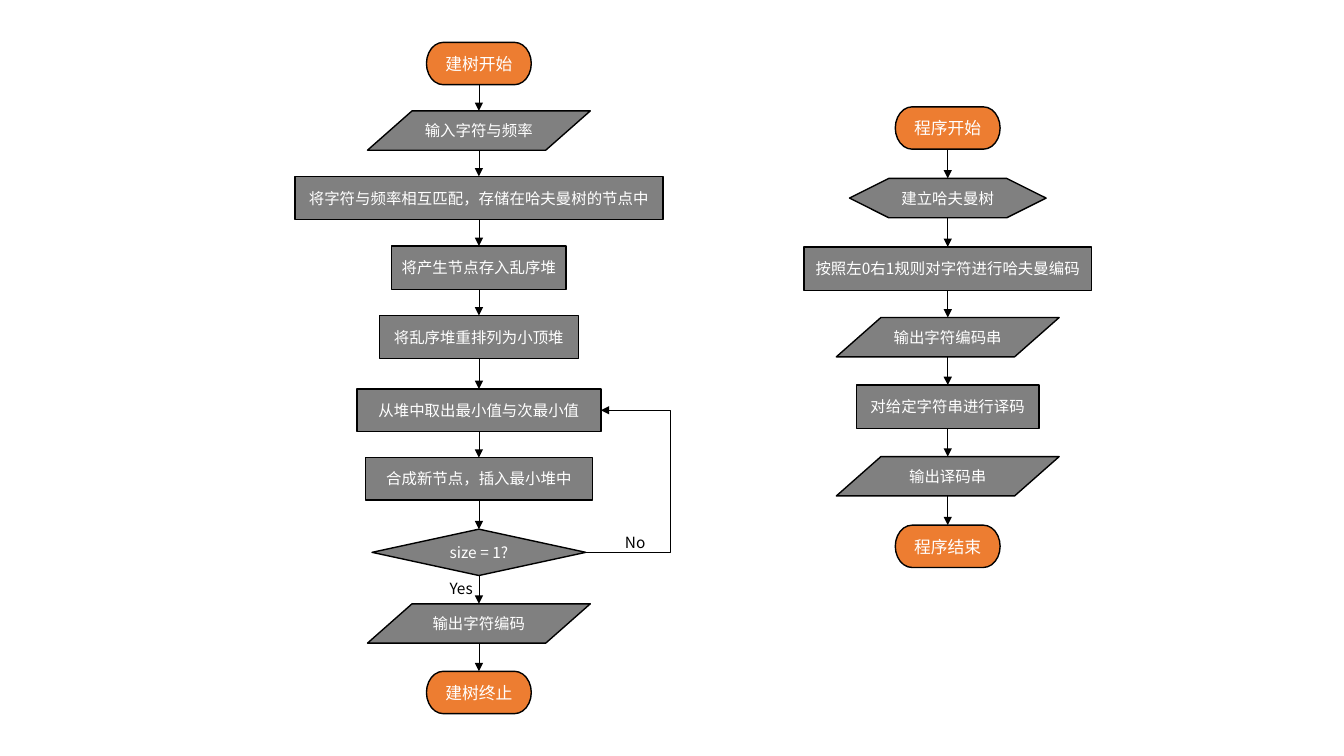
from dataclasses import dataclass
from itertools import pairwise

from lxml.etree import SubElement
from pptx import Presentation
from pptx.dml.color import RGBColor
from pptx.enum.shapes import MSO_CONNECTOR, MSO_SHAPE
from pptx.enum.text import MSO_ANCHOR, PP_ALIGN
from pptx.oxml.ns import qn
from pptx.util import Pt

EMU_PER_PX = 9144


@dataclass(frozen=True)
class Theme:
    """Colours, font, type sizes and line widths of the slide."""
    font: str = "Noto Sans CJK SC"
    step_fill: str = "808080"
    end_fill: str = "ED7D31"
    ink: str = "000000"
    paper: str = "FFFFFF"
    step_size: int = 11
    end_size: int = 12
    outline: float = 1
    arrow: float = 0.5


THEME = Theme()
END = MSO_SHAPE.FLOWCHART_TERMINATOR
DATA = MSO_SHAPE.FLOWCHART_DATA
PROCESS = MSO_SHAPE.FLOWCHART_PROCESS
DECISION = MSO_SHAPE.FLOWCHART_DECISION
PREPARATION = MSO_SHAPE.FLOWCHART_PREPARATION

TREE_X, TREE_STEPS = 475, [
    (END, "建树开始", 42, 104, 42),
    (DATA, "输入字符与频率", 110, 221, 39),
    (PROCESS, "将字符与频率相互匹配，存储在哈夫曼树的节点中", 175, 365, 43),
    (PROCESS, "将产生节点存入乱序堆", 244, 173, 43),
    (PROCESS, "将乱序堆重排列为小顶堆", 313, 197, 43),
    (PROCESS, "从堆中取出最小值与次最小值", 386, 242, 42),
    (PROCESS, "合成新节点，插入最小堆中", 454, 225, 42),
    (DECISION, "size = 1?", 525, 212, 46),
    (DATA, "输出字符编码", 599, 221, 39),
    (END, "建树终止", 666, 104, 42),
]
PROGRAM_X, PROGRAM_STEPS = 940, [
    (END, "程序开始", 106, 104, 42),
    (PREPARATION, "建立哈夫曼树", 177, 195, 39),
    (PROCESS, "按照左0右1规则对字符进行哈夫曼编码", 245, 285, 43),
    (DATA, "输出字符编码串", 315, 221, 39),
    (PROCESS, "对给定字符串进行译码", 382, 181, 43),
    (DATA, "输出译码串", 453, 221, 39),
    (END, "程序结束", 521, 104, 42),
]
LOOP_START, LOOP_END, LOOP_X = 7, 5, 665


def px(n):
    """Turn px into EMU."""
    return round(n * EMU_PER_PX)


def rgb(value):
    """Turn a hex string into a colour."""
    return RGBColor.from_string(value)


def write(tf, text, size, color, align=PP_ALIGN.LEFT, anchor=MSO_ANCHOR.TOP):
    """Put one formatted paragraph into a text frame."""
    tf.word_wrap = True
    tf.vertical_anchor = anchor
    p = tf.paragraphs[0]
    p.alignment = align
    r = p.add_run()
    r.text = text
    r.font.name = THEME.font
    r.font.size = Pt(size)
    r.font.color.rgb = rgb(color)
    SubElement(r._r.get_or_add_rPr(), qn("a:ea"), typeface=THEME.font)


def add_step(shapes, cx, kind, text, top, w, h):
    """Add one flowchart step centred on cx."""
    sp = shapes.add_shape(kind, px(cx - w / 2), px(top), px(w), px(h))
    sp.shadow.inherit = False
    sp.fill.solid()
    sp.fill.fore_color.rgb = rgb(THEME.end_fill if kind == END else THEME.step_fill)
    sp.line.color.rgb = rgb(THEME.ink)
    sp.line.width = Pt(THEME.outline)
    size = THEME.end_size if kind == END else THEME.step_size
    write(sp.text_frame, text, size, THEME.paper,
          align=PP_ALIGN.CENTER, anchor=MSO_ANCHOR.MIDDLE)
    return sp


def add_arrow(shapes, kind, x1, y1, x2, y2):
    """Add a thin connector with a triangle at its end, in EMU."""
    cn = shapes.add_connector(kind, x1, y1, x2, y2)
    cn.line.color.rgb = rgb(THEME.ink)
    cn.line.width = Pt(THEME.arrow)
    SubElement(cn.line._get_or_add_ln(), qn("a:tailEnd"), type="triangle")
    SubElement(cn._element.spPr, qn("a:effectLst"))
    return cn


def add_flow(shapes, cx, steps):
    """Add a column of steps joined by downward arrows."""
    sps = [add_step(shapes, cx, *step) for step in steps]
    for a, b in pairwise(sps):
        add_arrow(shapes, MSO_CONNECTOR.STRAIGHT,
                  px(cx), a.top + a.height, px(cx), b.top)
    return sps


def add_loop(shapes, a, b, lane):
    """Add an elbow arrow from a back to b that turns at the lane."""
    x1, x2 = a.left + a.width, b.left + b.width
    cn = add_arrow(shapes, MSO_CONNECTOR.ELBOW, x1, a.top + a.height // 2,
                   x2, b.top + b.height // 2)
    bend = round((px(lane) - x1) / (x2 - x1) * 100000)
    av = cn._element.spPr.prstGeom.get_or_add_avLst()
    SubElement(av, qn("a:gd"), name="adj1", fmla=f"val {bend}")


def add_label(shapes, text, left, top, w, h):
    """Add a branch label."""
    sp = shapes.add_textbox(px(left), px(top), px(w), px(h))
    write(sp.text_frame, text, THEME.step_size, THEME.ink)


def main():
    """Build the two flowcharts and save the deck."""
    prs = Presentation()
    prs.slide_width, prs.slide_height = px(1333), px(750)
    s = prs.slides.add_slide(prs.slide_layouts[6])

    tree = s.shapes.add_group_shape().shapes
    sps = add_flow(tree, TREE_X, TREE_STEPS)
    add_loop(tree, sps[LOOP_START], sps[LOOP_END], LOOP_X)
    add_label(tree, "No", 610, 524, 47, 29)
    add_label(tree, "Yes", 436, 570, 49, 29)

    program = s.shapes.add_group_shape().shapes
    add_flow(program, PROGRAM_X, PROGRAM_STEPS)
    prs.save("out.pptx")


if __name__ == "__main__":
    main()
